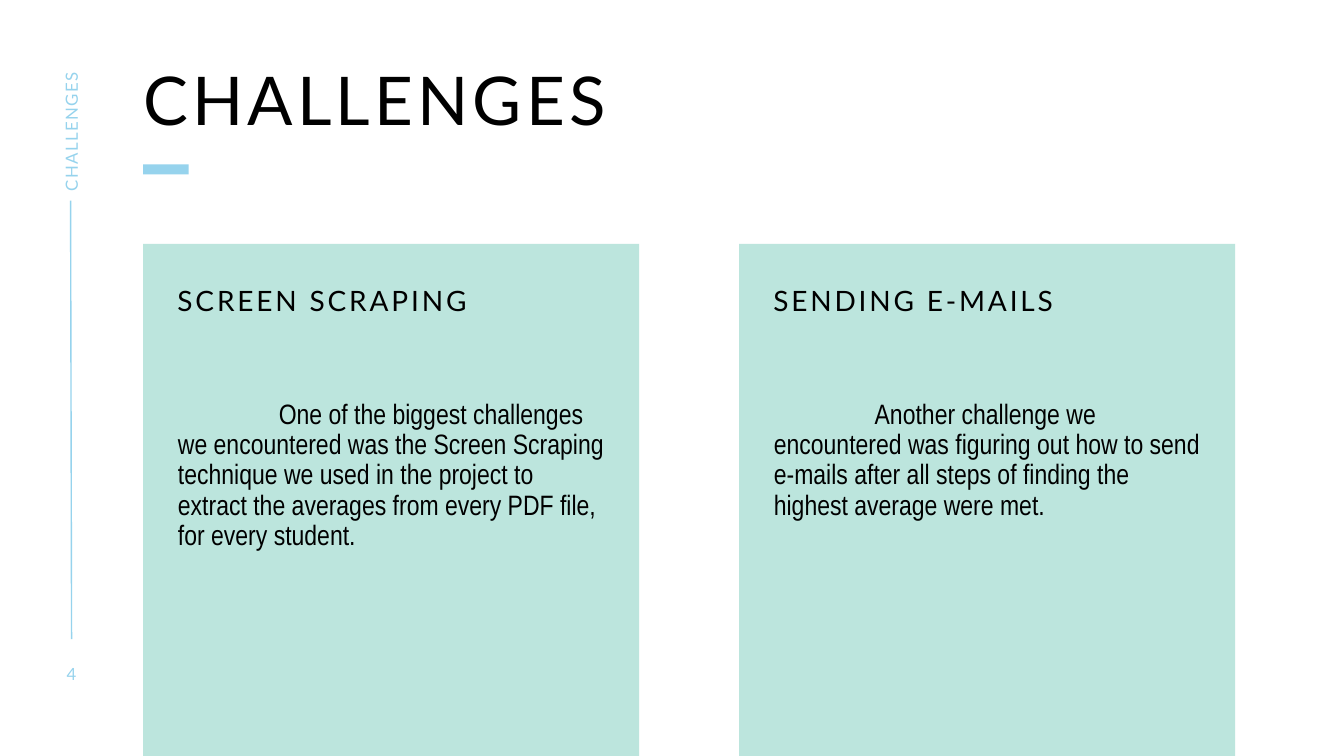
from pptx import Presentation
from pptx.dml.color import RGBColor
from pptx.enum.shapes import MSO_CONNECTOR, MSO_SHAPE
from pptx.enum.text import MSO_ANCHOR as Anchor, MSO_AUTO_SIZE as AutoSize, PP_ALIGN as Align
from pptx.oxml.ns import qn
from pptx.util import Inches, Pt
from lxml.etree import SubElement

COLORS = {"text": "000000", "accent": "96D3ED", "panel": "BCE5DD"}


def color(name):
    return RGBColor.from_string(COLORS[name])


def write(shape, text, size, font="Lato", ink="text", spacing=0, align=Align.LEFT,
          anchor=Anchor.TOP, margins=(0, 0, 0), paragraph_format=None):
    left, top, right = margins
    frame_format = {
        "word_wrap": True, "auto_size": AutoSize.NONE, "vertical_anchor": anchor,
        "margin_left": Inches(left), "margin_top": Inches(top),
        "margin_right": Inches(right), "margin_bottom": 0,
    }
    for name, value in frame_format.items():
        setattr(shape.text_frame, name, value)
    paragraph = shape.text_frame.paragraphs[0]
    for name, value in {"alignment": align, **(paragraph_format or {})}.items():
        setattr(paragraph, name, value)
    run = paragraph.add_run()
    run.text = text
    for name, value in {"size": Pt(size), "name": font}.items():
        setattr(run.font, name, value)
    run.font.color.rgb = color(ink)
    run.font._element.set("spc", str(spacing * 100))
    return paragraph


presentation = Presentation()
presentation.slide_width = Inches(13.33)
presentation.slide_height = Inches(7.5)
slide = presentation.slides.add_slide(presentation.slide_layouts[5])
shapes = slide.shapes

title = shapes.title
title_place = {"left": 1.42, "top": 0.67, "width": 7.28, "height": 0.58}
for name, value in title_place.items():
    setattr(title, name, Inches(value))
write(title, "CHALLENGES", 48, spacing=3, paragraph_format={"line_spacing": 0.9})

accent_bar = shapes.add_shape(
    MSO_SHAPE.RECTANGLE, Inches(1.42), Inches(1.63), Inches(0.45), Inches(0.1))
accent_bar.shadow.inherit = False
accent_bar.fill.solid()
accent_bar.fill.fore_color.rgb = color("accent")
accent_bar.line.fill.background()

panels = [
    ("SCREEN SCRAPING",
     "\tOne of the biggest challenges we encountered was the Screen Scraping technique "
     "we used in the project to extract the averages from every PDF file, for every student."),
    ("SENDING E-MAILS",
     "\tAnother challenge we encountered was figuring out how to send e-mails after all "
     "steps of finding the highest average were met."),
]
for index, (heading, body) in enumerate(panels):
    left = 1.42 + index * 5.91
    panel = shapes.add_shape(
        MSO_SHAPE.RECTANGLE, Inches(left), Inches(2.42), Inches(4.92), Inches(5.08))
    panel.shadow.inherit = False
    panel.fill.solid()
    panel.fill.fore_color.rgb = color("panel")
    panel.line.fill.background()
    write(panel, heading, 20, spacing=2, margins=(0.34, 0.39, 0.3),
          paragraph_format={"line_spacing": Pt(24), "space_before": Pt(10)})
    description = shapes.add_textbox(
        Inches(left + 0.345), Inches(3.97), Inches(4.25), Inches(2.75))
    paragraph = write(description, body, 20, font="Arial Narrow",
                      paragraph_format={"line_spacing": 0.9, "space_before": Pt(10)})
    tab_stops = SubElement(paragraph._p.get_or_add_pPr(), qn("a:tabLst"))
    SubElement(tab_stops, qn("a:tab"), pos=str(Inches(1)), algn="l")

side_line = shapes.add_connector(
    MSO_CONNECTOR.STRAIGHT, Inches(0.7), Inches(1.99), Inches(0.71), Inches(6.34))
side_line.line.color.rgb = color("accent")
side_line.line.width = Pt(1)
SubElement(side_line._element.spPr, qn("a:effectLst"))

side_label = shapes.add_textbox(Inches(0.09), Inches(1.18), Inches(1.23), Inches(0.21))
side_label.rotation = 270
write(side_label, "CHALLENGES", 12, ink="accent", spacing=1, anchor=Anchor.MIDDLE)

page_number = shapes.add_textbox(Inches(0.46), Inches(6.58), Inches(0.5), Inches(0.2))
write(page_number, "4", 12, ink="accent", spacing=2, align=Align.CENTER, anchor=Anchor.MIDDLE)

presentation.save("out.pptx")
